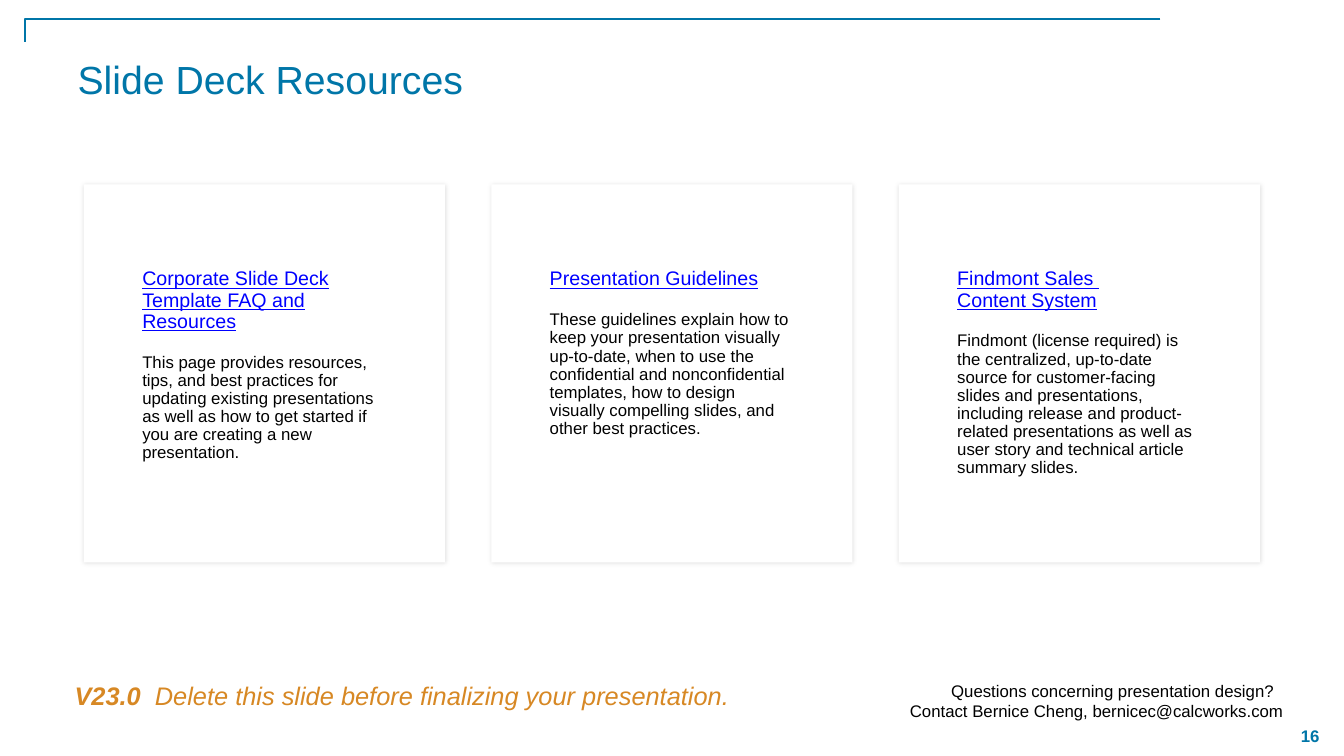
from dataclasses import dataclass

from lxml import etree
from pptx import Presentation
from pptx.dml.color import RGBColor
from pptx.enum.shapes import MSO_CONNECTOR, MSO_SHAPE
from pptx.enum.text import MSO_ANCHOR, MSO_AUTO_SIZE, PP_ALIGN
from pptx.oxml.ns import qn
from pptx.util import Inches, Pt

ELBOW = MSO_CONNECTOR.ELBOW
RECTANGLE = MSO_SHAPE.RECTANGLE
TOP, MIDDLE = MSO_ANCHOR.TOP, MSO_ANCHOR.MIDDLE
NO_AUTOFIT = MSO_AUTO_SIZE.NONE
LEFT, CENTER, RIGHT = PP_ALIGN.LEFT, PP_ALIGN.CENTER, PP_ALIGN.RIGHT
TITLE_ONLY = 5

SLIDE_W, SLIDE_H = 13.33, 7.5
MARGIN = SLIDE_W / 16
GUTTER = 0.46
CARD_TOP, CARD_H = 1.83, SLIDE_H / 2
CARD_W = (SLIDE_W - 2 * MARGIN - 2 * GUTTER) / 3
INSET_X, INSET_Y = 0.48, 0.79


@dataclass(frozen=True)
class Theme:
    """Colours, font and type sizes of the slide."""
    font: str = "Arial"
    accent: str = "0076A8"
    warning: str = "D78824"
    link: str = "0000FF"
    ink: str = "000000"
    paper: str = "FFFFFF"
    title: float = 28
    notice: float = 18.1
    heading: float = 14
    body: float = 12


THEME = Theme()

RESOURCES = [
    ("Corporate Slide Deck Template FAQ and Resources",
     "This page provides resources, tips, and best practices for updating "
     "existing presentations as well as how to get started if you are "
     "creating a new presentation."),
    ("Presentation Guidelines",
     "These guidelines explain how to keep your presentation visually "
     "up-to-date, when to use the confidential and nonconfidential templates, "
     "how to design visually compelling slides, and other best practices."),
    ("Findmont Sales \vContent System",
     "Findmont (license required) is the centralized, up-to-date source for "
     "customer-facing slides and presentations, including release and "
     "product-related presentations as well as user story and technical "
     "article summary slides."),
]


def style(paragraph, size, color, align=LEFT, bold=False, italic=False):
    """Set the alignment and font of a paragraph."""
    paragraph.alignment = align
    font = paragraph.font
    font.name, font.size = THEME.font, Pt(size)
    font.bold, font.italic = bold, italic
    font.color.rgb = RGBColor.from_string(color)


def add_text_area(slide, left, top, width, height, anchor=TOP):
    """Add a wrapping text box and return its text frame."""
    box = slide.shapes.add_textbox(
        Inches(left), Inches(top), Inches(width), Inches(height))
    frame = box.text_frame
    frame.word_wrap = True
    frame.vertical_anchor = anchor
    return frame


def add_title(slide, text):
    """Place and format the title placeholder."""
    title = slide.shapes.title
    title.left, title.top = Inches(0.67), Inches(0.5)
    title.width, title.height = Inches(11.78), Inches(1.08)
    frame = title.text_frame
    frame.text = text
    frame.auto_size = NO_AUTOFIT
    frame.vertical_anchor = TOP
    style(frame.paragraphs[0], THEME.title, THEME.accent)


def add_corner_rule(slide):
    """Draw the bent rule along the top left corner."""
    rule = slide.shapes.add_connector(
        ELBOW, Inches(11.51), Inches(0.19), Inches(0.25), Inches(0.42))
    rule.line.color.rgb = RGBColor.from_string(THEME.accent)
    rule.line.width = Pt(1)
    properties = rule._element.spPr
    guides = properties.find(qn("a:prstGeom")).find(qn("a:avLst"))
    etree.SubElement(guides, qn("a:gd"), name="adj1", fmla="val 100000")
    etree.SubElement(properties, qn("a:effectLst"))


def add_soft_shadow(shape):
    """Give a shape a faint halo."""
    shape.shadow.inherit = False
    effects = shape._element.spPr.find(qn("a:effectLst"))
    shadow = etree.SubElement(
        effects, qn("a:outerShdw"), blurRad=str(Pt(3.8)), dist="0",
        dir="5400000", algn="ctr", rotWithShape="0")
    color = etree.SubElement(shadow, qn("a:srgbClr"), val=THEME.ink)
    etree.SubElement(color, qn("a:alpha"), val="12000")


def add_resource_card(slide, column, heading, description):
    """Add one card with a link heading and its description."""
    left = MARGIN + column * (CARD_W + GUTTER)
    card = slide.shapes.add_shape(
        RECTANGLE, Inches(left), Inches(CARD_TOP), Inches(CARD_W), Inches(CARD_H))
    card.fill.solid()
    card.fill.fore_color.rgb = RGBColor.from_string(THEME.paper)
    card.line.fill.background()
    add_soft_shadow(card)

    frame = add_text_area(slide, left + INSET_X, CARD_TOP + INSET_Y,
                          CARD_W - 2 * INSET_X, CARD_H - INSET_Y)
    head, body = frame.paragraphs[0], frame.add_paragraph()
    head.text, body.text = heading, description
    style(head, THEME.heading, THEME.link)
    head.font.underline = True
    style(body, THEME.body, THEME.ink)
    head.line_spacing = body.line_spacing = 0.9
    body.space_before = Pt(15)


def add_notice(slide, version, message):
    """Add the version and the reminder at the bottom left."""
    notice = add_text_area(slide, 0.5, 6.7, 6.97, 0.4).paragraphs[0]
    style(notice, THEME.notice, THEME.warning, CENTER, italic=True)
    for text, bold in ((version, True), (message, False)):
        run = notice.add_run()
        run.text = text
        run.font.bold = bold


def add_contact(slide, question, contact):
    """Add the contact lines at the bottom right."""
    frame = add_text_area(slide, 8.42, 6.7, 4.41, 0.5)
    for line, text in ((frame.paragraphs[0], question),
                       (frame.add_paragraph(), contact)):
        line.text = text
        style(line, THEME.body, THEME.ink, RIGHT)


def add_page_number(slide, number):
    """Add the page number in the bottom right corner."""
    frame = add_text_area(slide, SLIDE_W - 0.67, 7.09, 0.67, 0.42, MIDDLE)
    frame.text = number
    style(frame.paragraphs[0], THEME.body, THEME.accent, CENTER, bold=True)


def main():
    """Build and save the slide."""
    deck = Presentation()
    deck.slide_width, deck.slide_height = Inches(SLIDE_W), Inches(SLIDE_H)
    slide = deck.slides.add_slide(deck.slide_layouts[TITLE_ONLY])
    add_page_number(slide, "16")
    add_corner_rule(slide)
    add_title(slide, "Slide Deck Resources")
    add_notice(slide, "V23.0",
               "  Delete this slide before finalizing your presentation.")
    add_contact(slide, "Questions concerning presentation design?  ",
                "Contact Bernice Cheng, bernicec@calcworks.com")
    for column, (heading, description) in enumerate(RESOURCES):
        add_resource_card(slide, column, heading, description)
    deck.save("out.pptx")


if __name__ == "__main__":
    main()
